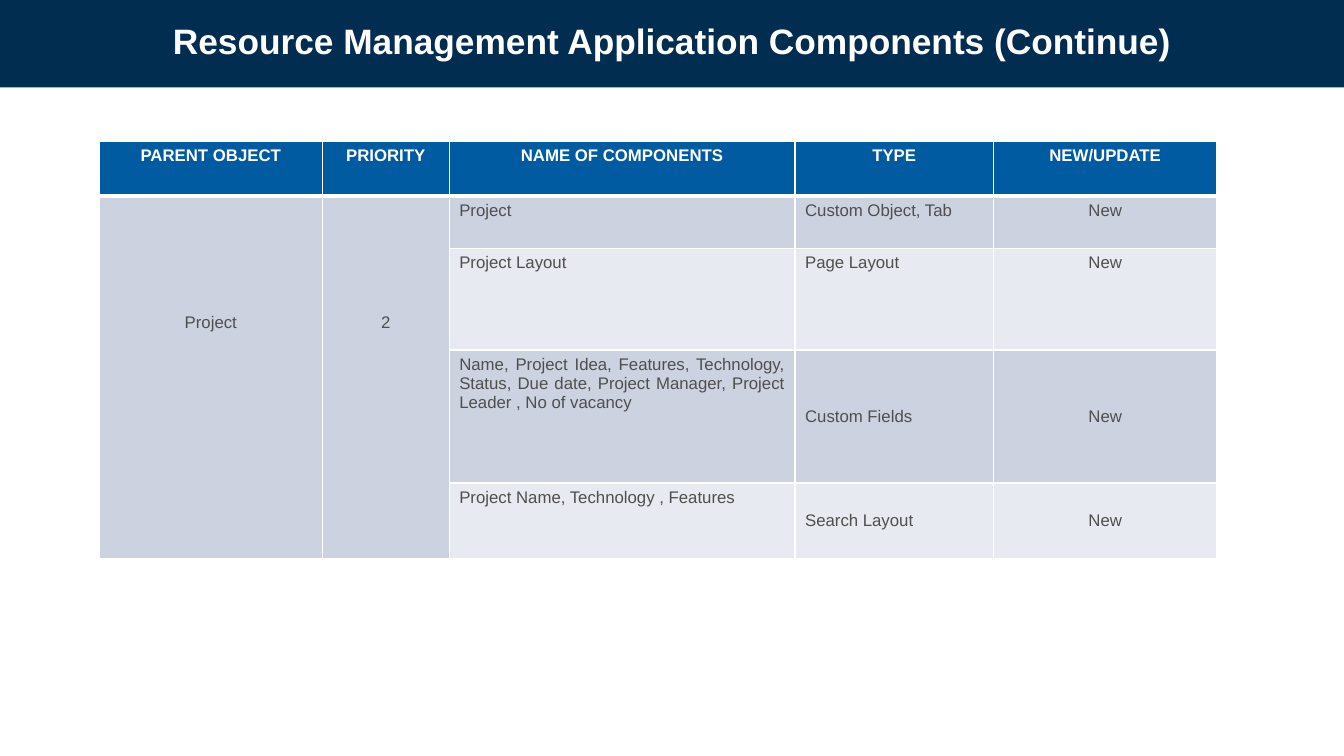
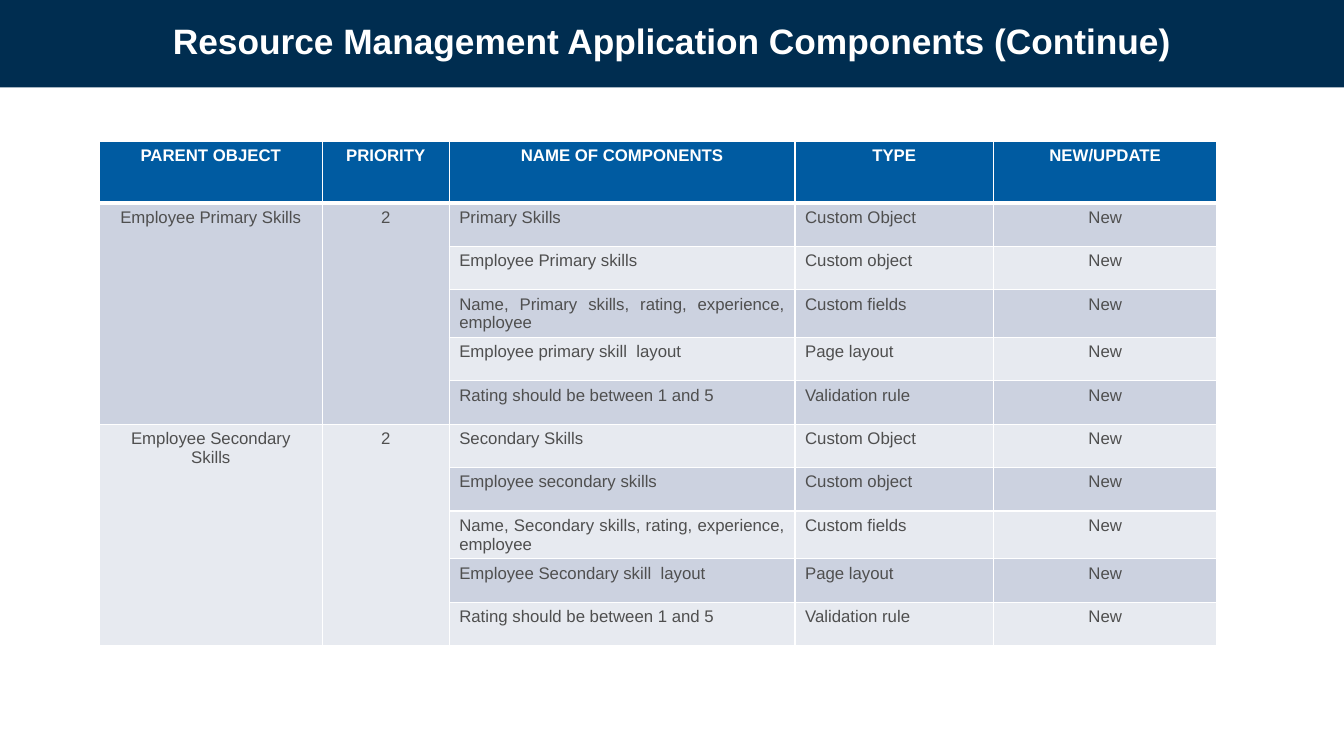
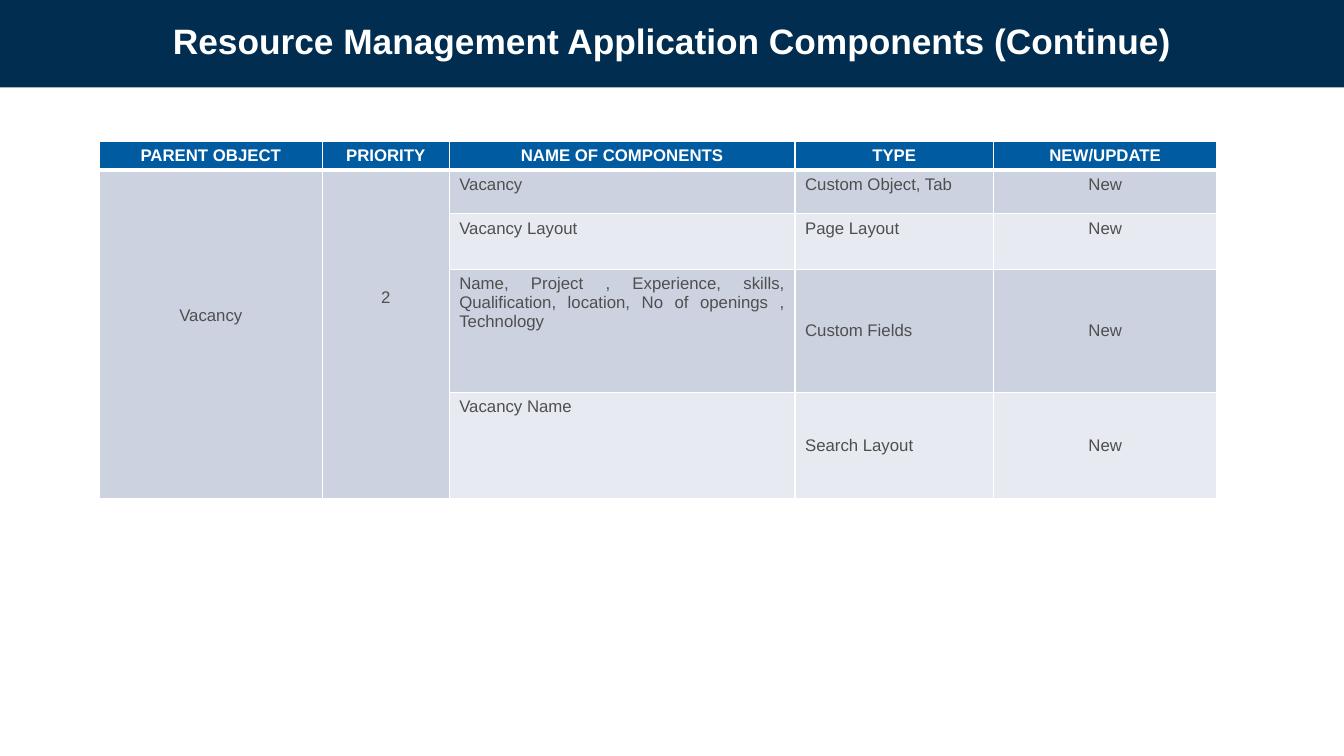
from pptx import Presentation
from pptx import util as u
from pptx.dml import color
from pptx.enum import shapes, text
from pptx.oxml import parse_xml
from pptx.oxml.ns import nsdecls

Pt = u.Pt
MID = text.MSO_ANCHOR.MIDDLE
TOP = text.MSO_ANCHOR.TOP
CENTER = text.PP_ALIGN.CENTER
JUST = text.PP_ALIGN.JUSTIFY

TITLE = "Resource Management Application Components (Continue)"
HEADS = ["PARENT OBJECT", "PRIORITY", "NAME OF COMPONENTS", "TYPE", "NEW/UPDATE"]
COLS = [159.2, 90.7, 247, 141.8, 159.6]


def rgb(code):
    return color.RGBColor.from_string(code)


class Deck:
    font = "Arial"
    navy, blue, white, ink = "002D50", "005BA1", "FFFFFF", "4F4F4F"
    bands = ["E7EAF0", "CCD2E0"]
    wide, high = 960, 540
    line = 13.4  # height of one 12 pt line

    def __init__(self):
        self.prs = Presentation()
        self.prs.slide_width, self.prs.slide_height = Pt(self.wide), Pt(self.high)
        self.slide = None

    def page(self, name):
        self.slide = self.prs.slides.add_slide(self.prs.slide_layouts[5])
        self.band()
        self.title(name)

    def band(self):
        """Draw the top band behind the title."""
        bar = self.slide.shapes.add_shape(
            shapes.MSO_SHAPE.RECTANGLE, 0, 0, Pt(self.wide), Pt(62.5))
        bar.shadow.inherit = False
        bar.fill.solid()
        bar.fill.fore_color.rgb = rgb(self.navy)
        bar.line.fill.background()
        self.slide.shapes.element.insert(2, bar.element)

    def title(self, name):
        box = self.slide.shapes.title
        box.left, box.top = Pt(0), Pt(8.6)
        box.width, box.height = Pt(self.wide), Pt(41)
        frame = box.text_frame
        frame.auto_size = text.MSO_AUTO_SIZE.NONE
        frame.word_wrap = True
        frame.vertical_anchor = MID
        self.run(frame, name, 25.2, self.white, True, CENTER)

    def run(self, frame, words, size, hue, bold, align):
        para = frame.paragraphs[0]
        para.alignment = align
        run = para.add_run()
        run.text = words
        run.font.name, run.font.size, run.font.bold = self.font, Pt(size), bold
        run.font.color.rgb = rgb(hue)

    def cell(self, cell, words, row, align=CENTER, anchor=TOP, drop=0):
        """Fill one cell; drop lowers its text by a number of lines."""
        head = row == 0
        cell.fill.solid()
        cell.fill.fore_color.rgb = rgb(self.blue if head else self.bands[row % 2])
        cell.vertical_anchor = anchor
        cell.margin_top = Pt(3.6 + drop * self.line)
        self.run(cell.text_frame, words, 12,
                 self.white if head else self.ink, head, align)
        # White borders, thicker between header and body
        edges = {"lnL": 1, "lnR": 1, "lnT": 3 if row == 1 else 1, "lnB": 3 if head else 1}
        for spot, (tag, width) in enumerate(edges.items()):
            cell._tc.tcPr.insert(spot, parse_xml(
                f'<a:{tag} {nsdecls("a")} w="{Pt(width)}"><a:solidFill>'
                f'<a:srgbClr val="{self.white}"/></a:solidFill></a:{tag}>'))

    def table(self, top, groups):
        """groups: (parent, its drop, priority drop, rows);
        each row: (height, component, type, anchor)."""
        highs = [top] + [row[0] for group in groups for row in group[3]]
        grid = self.slide.shapes.add_table(
            len(highs), len(COLS), Pt(71), Pt(101),
            Pt(sum(COLS)), Pt(sum(highs))).table
        grid.horz_banding = False
        for col, width in zip(grid.columns, COLS):
            col.width = Pt(width)
        for row, high in zip(grid.rows, highs):
            row.height = Pt(high)
        for col, head in enumerate(HEADS):
            self.cell(grid.cell(0, col), head, 0)
        at = 1
        for parent, drop, low, rows in groups:
            # Parent and priority span the whole group
            for col, (words, gap) in enumerate([(parent, drop), ("2", low)]):
                start = grid.cell(at, col)
                start.merge(grid.cell(at + len(rows) - 1, col))
                self.cell(start, words, at, drop=gap)
            for _, name, kind, anchor in rows:
                self.cell(grid.cell(at, 2), name, at, JUST)
                self.cell(grid.cell(at, 3), kind, at, JUST, anchor)
                self.cell(grid.cell(at, 4), "New", at, CENTER, anchor)
                at += 1


def skills(parent, names):
    kinds = ["Custom Object", "Custom object", "Custom fields", "Page layout",
             "Validation rule"]
    names = names + ["Rating should be between 1 and 5"]
    return parent, 0, 0, [(31, name, kind, TOP) for name, kind in zip(names, kinds)]


def main():
    deck = Deck()

    # Project
    deck.page(TITLE)
    deck.table(39, [("Project", 6, 6, [
        (37.4, "Project", "Custom Object, Tab", TOP),
        (72.7, "Project Layout", "Page Layout", TOP),
        (95, "Name, Project Idea, Features, Technology, Status, Due date, "
             "Project Manager, Project Leader , No of vacancy", "Custom Fields", MID),
        (54, "Project Name, Technology , Features", "Search Layout", MID),
    ])])

    # Skills
    deck.page(TITLE)
    deck.table(44, [
        skills("Employee Primary Skills", [
            "Primary Skills", "Employee Primary skills",
            "Name, Primary skills, rating, experience, employee",
            "Employee primary skill  layout"]),
        skills("Employee Secondary Skills", [
            "Secondary Skills", "Employee secondary skills",
            "Name, Secondary skills, rating, experience, employee",
            "Employee Secondary skill  layout"]),
    ])

    # Vacancy
    deck.page(TITLE)
    deck.table(20.6, [("Vacancy", 7, 6, [
        (31, "Vacancy", "Custom Object, Tab", TOP),
        (39.6, "Vacancy Layout", "Page Layout", TOP),
        (88, "Name, Project , Experience, skills, Qualification, location, "
             "No of openings , Technology", "Custom Fields", MID),
        (75.6, "Vacancy Name", "Search Layout", MID),
    ])])

    deck.prs.save("out.pptx")


if __name__ == "__main__":
    main()
